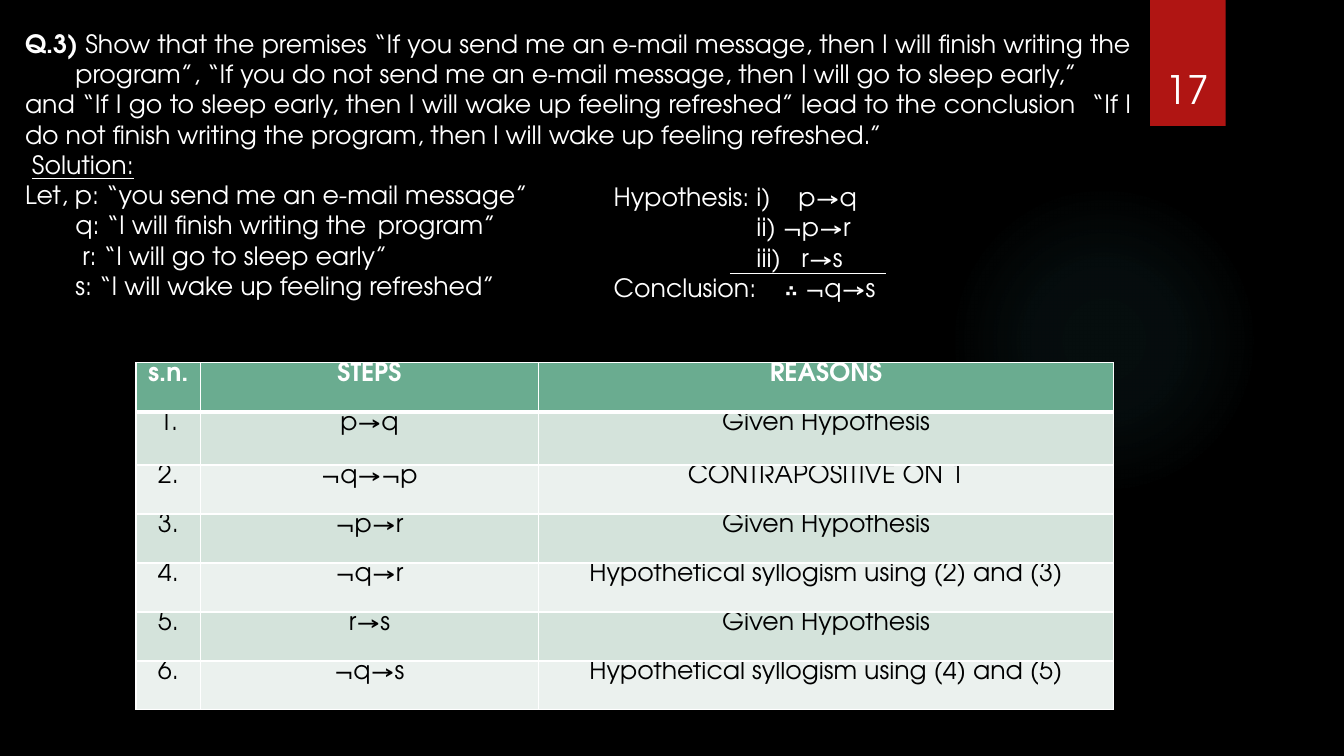
from pptx import Presentation
from pptx.dml.color import RGBColor
from pptx.enum.shapes import MSO_CONNECTOR, MSO_SHAPE
from pptx.enum.text import MSO_ANCHOR, PP_ALIGN
from pptx.oxml import parse_xml
from pptx.util import Pt

OVAL, RECT, STRAIGHT = MSO_SHAPE.OVAL, MSO_SHAPE.RECTANGLE, MSO_CONNECTOR.STRAIGHT
LEFT, CENTER, JUSTIFY = PP_ALIGN.LEFT, PP_ALIGN.CENTER, PP_ALIGN.JUSTIFY
NS = 'xmlns:a="http://schemas.openxmlformats.org/drawingml/2006/main"'
FONT = "TeX Gyre Adventor"
WHITE, BLACK = "FFFFFF", "000000"
rgb = RGBColor.from_string


def write(paragraph, runs, align, color=WHITE, size=18, tabs=()):
    """Fill a paragraph with (text, extra font values) runs and set its tab stops."""
    paragraph.alignment = align
    for text, extra in runs:
        run = paragraph.add_run()
        run.text = text
        values = {"name": FONT, "size": Pt(size), "bold": False} | extra
        for key, value in values.items():
            setattr(run.font, key, value)
        run.font.color.rgb = rgb(color)
    if tabs:
        stops = "".join(f'<a:tab pos="{Pt(stop)}" algn="l"/>' for stop in tabs)
        paragraph._p.get_or_add_pPr().append(parse_xml(f"<a:tabLst {NS}>{stops}</a:tabLst>"))


def text_frame(left, top, width, height):
    frame = slide.shapes.add_textbox(Pt(left), Pt(top), Pt(width), Pt(height)).text_frame
    frame.word_wrap = True
    return frame


deck = Presentation()
deck.slide_width, deck.slide_height = Pt(960), Pt(540)
slide = deck.slides.add_slide(deck.slide_layouts[6])
slide.background.fill.solid()
slide.background.fill.fore_color.rgb = rgb(BLACK)

# Soft glow
glow = slide.shapes.add_shape(OVAL, Pt(677.5), Pt(131.8), Pt(221.8), Pt(221.8))
glow.shadow.inherit = False
glow.line.fill.background()
glow_stops = "".join(
    f'<a:gs pos="{pos}000"><a:srgbClr val="50B9C1"><a:alpha val="{alpha}000"/></a:srgbClr></a:gs>'
    for pos, alpha in [(0, 7), (36, 6), (69, 0)])
glow._element.spPr.find(".//{*}prstGeom").addnext(parse_xml(
    f'<a:gradFill {NS}><a:gsLst>{glow_stops}</a:gsLst><a:path path="circle">'
    '<a:fillToRect l="50000" t="50000" r="50000" b="50000"/></a:path></a:gradFill>'))

# Page number ribbon
ribbon = slide.shapes.add_shape(RECT, Pt(821.5), 0, Pt(54), Pt(90))
ribbon.fill.solid()
ribbon.fill.fore_color.rgb = rgb("B01513")
ribbon.line.fill.background()
ribbon._element.spPr.append(parse_xml(
    f'<a:effectLst {NS}><a:outerShdw blurRad="{Pt(3)}" dist="{Pt(2)}" dir="5400000" rotWithShape="0">'
    f'<a:srgbClr val="{BLACK}"><a:alpha val="45000"/></a:srgbClr></a:outerShdw></a:effectLst>'))
page_number = text_frame(815, 23, 66.2, 60.5)
page_number.vertical_anchor = MSO_ANCHOR.BOTTOM
write(page_number.paragraphs[0], [("17", {})], CENTER, size=28)

# Question and propositions
question = [
    [("Q.3) ", {"bold": True}),
     ("Show that the premises “If you send me an e-mail message, then I will finish writing the "
      "\tprogram”, “If you do not send me an e-mail message, then I will go to sleep early,” "
      "\tand “If I go to sleep early, then I will wake up feeling refreshed” lead to the conclusion "
      "\t“If I do not finish writing the program, then I will wake up feeling refreshed.”", {})],
    [(" ", {}), ("Solution:", {"underline": True})],
    [("Let, p: “you send me an e-mail message”", {})],
    [("\tq: “I will finish writing the \tprogram”", {})],
    [("\t r: “I will go to sleep early”", {})],
    [("\ts: “I will wake up feeling refreshed”", {})],
]
question_frame = text_frame(10.8, 16.6, 804.2, 225.4)
for i, runs in enumerate(question):
    paragraph = question_frame.add_paragraph() if i else question_frame.paragraphs[0]
    write(paragraph, runs, JUSTIFY, tabs=range(36, 760, 36))

# Hypotheses and conclusion, each with its own tab stops
argument = [
    ([("Hypothesis: i)\tp→q", {})], [132]),
    ([("\tii) ¬p→r", {})], [102]),
    ([("\tiii)\tr→s", {})], [102, 134]),
    ([("Conclusion:\t", {}), ("∴", {"bold": True}), (" ¬q→s", {})], [122]),
]
argument_frame = text_frame(431.3, 126, 364.3, 94.3)
for i, (runs, tabs) in enumerate(argument):
    paragraph = argument_frame.add_paragraph() if i else argument_frame.paragraphs[0]
    write(paragraph, runs, LEFT, tabs=tabs)

rule = slide.shapes.add_connector(STRAIGHT, Pt(521.3), Pt(195.1), Pt(632.9), Pt(195.1))
rule.line.color.rgb = rgb(WHITE)
rule.line.width = Pt(0.75)
rule._element.spPr.append(parse_xml(f"<a:effectLst {NS}/>"))

# Proof table
proof = [
    ("s.n.", "STEPS", "REASONS"),
    ("1.", "p→q", "Given Hypothesis"),
    ("2.", "¬q→¬p", "CONTRAPOSITIVE ON 1"),
    ("3.", "¬p→r", "Given Hypothesis"),
    ("4.", "¬q→r", "Hypothetical syllogism using (2) and (3)"),
    ("5.", "r→s", "Given Hypothesis"),
    ("6.", "¬q→s", "Hypothetical syllogism using (4) and (5)"),
]
widths = [46.1, 241.2, 411.1]
heights = [35, 38] + [35] * 5
table = slide.shapes.add_table(len(proof), len(widths), Pt(97.2), Pt(259.2),
                               Pt(sum(widths)), Pt(sum(heights))).table
for column, width in zip(table.columns, widths):
    column.width = Pt(width)
for r, (entries, height) in enumerate(zip(proof, heights)):
    table.rows[r].height = Pt(height)
    header = r == 0
    fill = "6AAC90" if header else "D4E3DB" if r % 2 else "EBF1EE"
    borders = {"L": 1, "R": 1, "T": 3 if r == 1 else 1, "B": 3 if header else 1}
    for c, entry in enumerate(entries):
        cell = table.cell(r, c)
        cell.margin_top = cell.margin_bottom = 0
        for side, weight in borders.items():
            cell._tc.get_or_add_tcPr().append(parse_xml(
                f'<a:ln{side} {NS} w="{Pt(weight)}"><a:solidFill><a:srgbClr val="{WHITE}"/>'
                f"</a:solidFill></a:ln{side}>"))
        cell.fill.solid()
        cell.fill.fore_color.rgb = rgb(fill)
        write(cell.text_frame.paragraphs[0], [(entry, {"bold": header})], CENTER,
              color=WHITE if header else BLACK)

deck.save("out.pptx")
